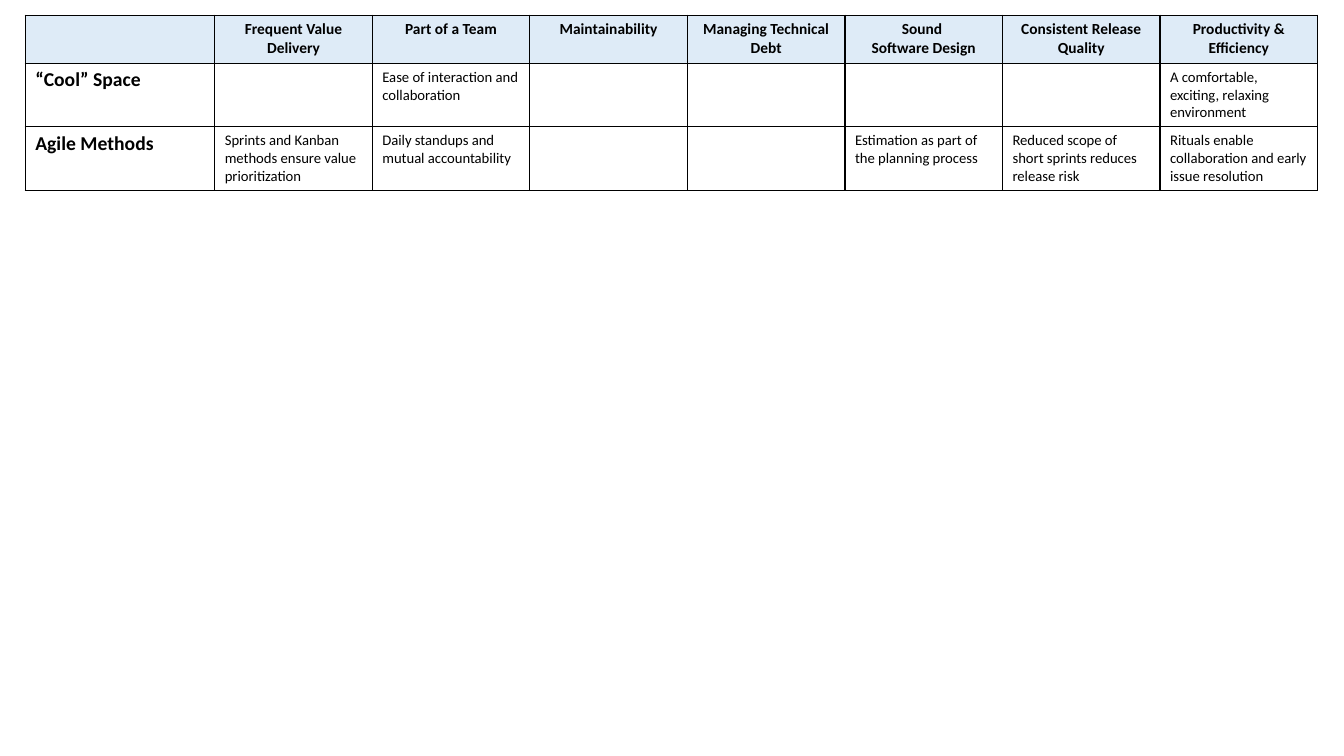
import pptx
import pptx.dml.color
import pptx.enum.text
import pptx.oxml
import pptx.oxml.ns
import pptx.util
from pptx.util import Inches

BLACK = pptx.dml.color.RGBColor(0x00, 0x00, 0x00)
HEADER_BLUE = pptx.dml.color.RGBColor(0xDE, 0xEB, 0xF7)
FONT = "Calibri"

TABLE_WIDTH = 12.82
LABEL_WIDTH = 1.88
ROW_HEIGHTS = [0.45, 0.61, 0.61]

ROWS = [
    ["", "Frequent Value Delivery", "Part of a Team", "Maintainability",
     "Managing Technical Debt", "Sound \nSoftware Design",
     "Consistent Release Quality", "Productivity & Efficiency"],
    ["“Cool” Space", "", "Ease of interaction and collaboration", "", "", "", "",
     "A comfortable, exciting, relaxing environment"],
    ["Agile Methods", "Sprints and Kanban methods ensure value prioritization",
     "Daily standups and mutual accountability", "", "",
     "Estimation as part of the planning process",
     "Reduced scope of short sprints reduces release risk",
     "Rituals enable collaboration and early issue resolution"],
]


def add_borders(cell, color, width):
    properties = cell._tc.get_or_add_tcPr()
    for side in ("lnL", "lnR", "lnT", "lnB"):
        properties.append(pptx.oxml.parse_xml(
            f'<a:{side} {pptx.oxml.ns.nsdecls("a")} w="{pptx.util.Pt(width)}">'
            f'<a:solidFill><a:srgbClr val="{color}"/></a:solidFill></a:{side}>'))


def write_text(cell, text, size, bold, alignment):
    """Write one paragraph for each line of the text."""
    frame = cell.text_frame
    for index, line in enumerate(text.split("\n")):
        paragraph = frame.add_paragraph() if index else frame.paragraphs[0]
        paragraph.alignment = alignment
        run = paragraph.add_run()
        run.text = line
        run.font.name = FONT
        run.font.size = pptx.util.Pt(size)
        run.font.bold = bold
        run.font.color.rgb = BLACK


def format_cell(cell, text, is_header, is_label):
    add_borders(cell, BLACK, 1)
    if is_header:
        cell.fill.solid()
        cell.fill.fore_color.rgb = HEADER_BLUE
    else:
        cell.fill.background()
    if text:
        size = 11 if is_header else 14 if is_label else 10.5
        alignment = pptx.enum.text.PP_ALIGN
        write_text(cell, text, size, is_header or is_label,
                   alignment.CENTER if is_header else alignment.LEFT)


def add_practices_table(slide):
    column_count = len(ROWS[0])
    table = slide.shapes.add_table(
        len(ROWS), column_count, Inches(0.25), Inches(0.15),
        Inches(TABLE_WIDTH), Inches(sum(ROW_HEIGHTS))).table
    table.horz_banding = False

    value_width = (TABLE_WIDTH - LABEL_WIDTH) / (column_count - 1)
    for index, column in enumerate(table.columns):
        column.width = Inches(value_width if index else LABEL_WIDTH)
    for row, height in zip(table.rows, ROW_HEIGHTS):
        row.height = Inches(height)

    for row_index, texts in enumerate(ROWS):
        for column_index, text in enumerate(texts):
            format_cell(table.cell(row_index, column_index), text,
                        row_index == 0, column_index == 0)


def main():
    presentation = pptx.Presentation()
    presentation.slide_width = Inches(13.33)
    presentation.slide_height = Inches(7.5)
    blank_layout = presentation.slide_layouts[6]
    slide = presentation.slides.add_slide(blank_layout)
    add_practices_table(slide)
    presentation.save("out.pptx")


if __name__ == "__main__":
    main()
